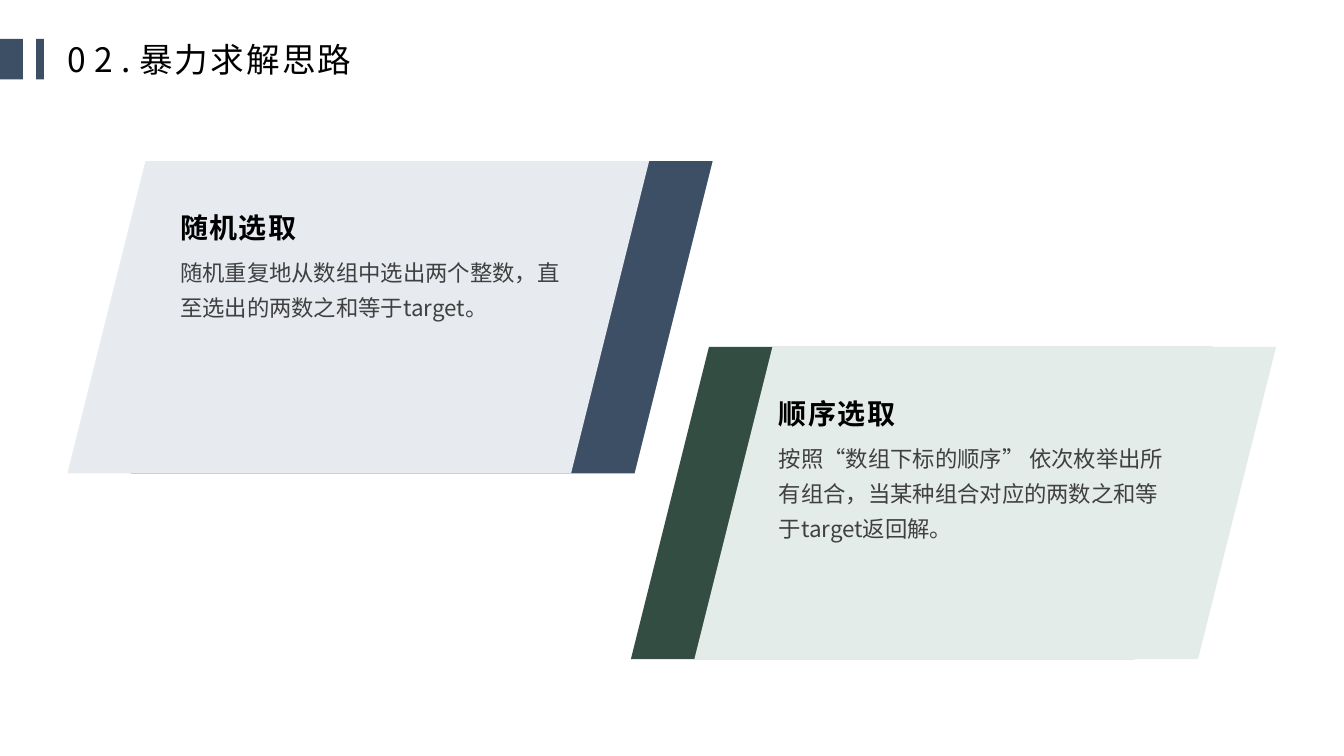
from dataclasses import dataclass

from pptx import Presentation, util as u
from pptx.dml.color import RGBColor
from pptx.enum import shapes, text
from pptx.oxml.ns import qn
from lxml import etree


@dataclass(frozen=True)
class Theme:
    font: str = "Noto Sans CJK SC"
    navy: str = "3D4F65"
    mist: str = "E7EBF0"
    forest: str = "334D43"
    sage: str = "E4ECE9"
    black: str = "000000"
    grey: str = "404040"
    title_size: int = 24
    heading_size: int = 20
    body_size: int = 16


class Deck:
    card_width, card_height = 14.66, 7.87

    def __init__(self, theme):
        self.theme = theme
        self.deck = Presentation()
        self.deck.slide_width = u.Cm(33.87)
        self.deck.slide_height = u.Cm(19.05)
        self.slide = self.deck.slides.add_slide(self.deck.slide_layouts[5])

    def run(self, paragraph, words, size, color, bold=False, spacing=0):
        run = paragraph.add_run()
        run.text = words
        run.font.size = u.Pt(size)
        run.font.bold = bold
        run.font.color.rgb = RGBColor.from_string(color)
        run.font.name = self.theme.font
        properties = run.font._element
        properties.set("spc", str(int(spacing * 100)))
        etree.SubElement(properties, qn("a:ea"), typeface=self.theme.font)

    def title(self, number, words):
        title = self.slide.shapes.title
        title.left, title.top = u.Cm(1.7), u.Cm(0.64)
        title.width, title.height = u.Cm(11.89), u.Cm(1.7)
        frame = title.text_frame
        frame.margin_left = frame.margin_right = 0
        frame.margin_top = frame.margin_bottom = 0
        frame.vertical_anchor = text.MSO_ANCHOR.MIDDLE
        frame.auto_size = text.MSO_AUTO_SIZE.NONE
        heading = frame.paragraphs[0]
        heading.alignment = text.PP_ALIGN.LEFT
        for part, spacing in ((number, 6), (words, 1.5)):
            self.run(heading, part, self.theme.title_size, self.theme.black, spacing=spacing)

    def block(self, kind, left, top, width, height, fill):
        block = self.slide.shapes.add_shape(
            kind, u.Cm(left), u.Cm(top), u.Cm(width), u.Cm(height))
        block.shadow.inherit = False
        block.fill.solid()
        block.fill.fore_color.rgb = RGBColor.from_string(fill)
        block.line.fill.background()

    def text_box(self, left, top, width, height, words, line_spacing=1.0, **style):
        box = self.slide.shapes.add_textbox(
            u.Cm(left), u.Cm(top), u.Cm(width), u.Cm(height))
        box.text_frame.word_wrap = True
        paragraph = box.text_frame.paragraphs[0]
        paragraph.line_spacing = line_spacing
        self.run(paragraph, words, **style)

    def card(self, band_left, panel_left, top, text_left, band, panel, heading, body):
        for left, fill in ((band_left, band), (panel_left, panel)):
            self.block(shapes.MSO_SHAPE.PARALLELOGRAM, left, top,
                       self.card_width, self.card_height, fill)
        self.text_box(text_left, top + 1.12, 6.2, 1.12, heading,
                      size=self.theme.heading_size, color=self.theme.black,
                      bold=True, spacing=1)
        self.text_box(text_left, top + 2.15, 10.46, 4.62, body, line_spacing=1.3,
                      size=self.theme.body_size, color=self.theme.grey)


def main():
    theme = Theme()
    deck = Deck(theme)
    for left, width in ((0.91, 0.2), (0, 0.58)):
        deck.block(shapes.MSO_SHAPE.RECTANGLE, left, 0.98, width, 1.02, theme.navy)
    deck.title("02.", "暴力求解思路")
    deck.card(3.3, 1.7, 4.06, 4.29, theme.navy, theme.mist, "随机选取",
              "随机重复地从数组中选出两个整数，直至选出的两数之和等于target。")
    deck.card(15.9, 17.5, 8.74, 19.38, theme.forest, theme.sage, "顺序选取",
              "按照“数组下标的顺序” 依次枚举出所有组合，当某种组合对应的两数之和等于target返回解。")
    deck.deck.save("out.pptx")


if __name__ == "__main__":
    main()
